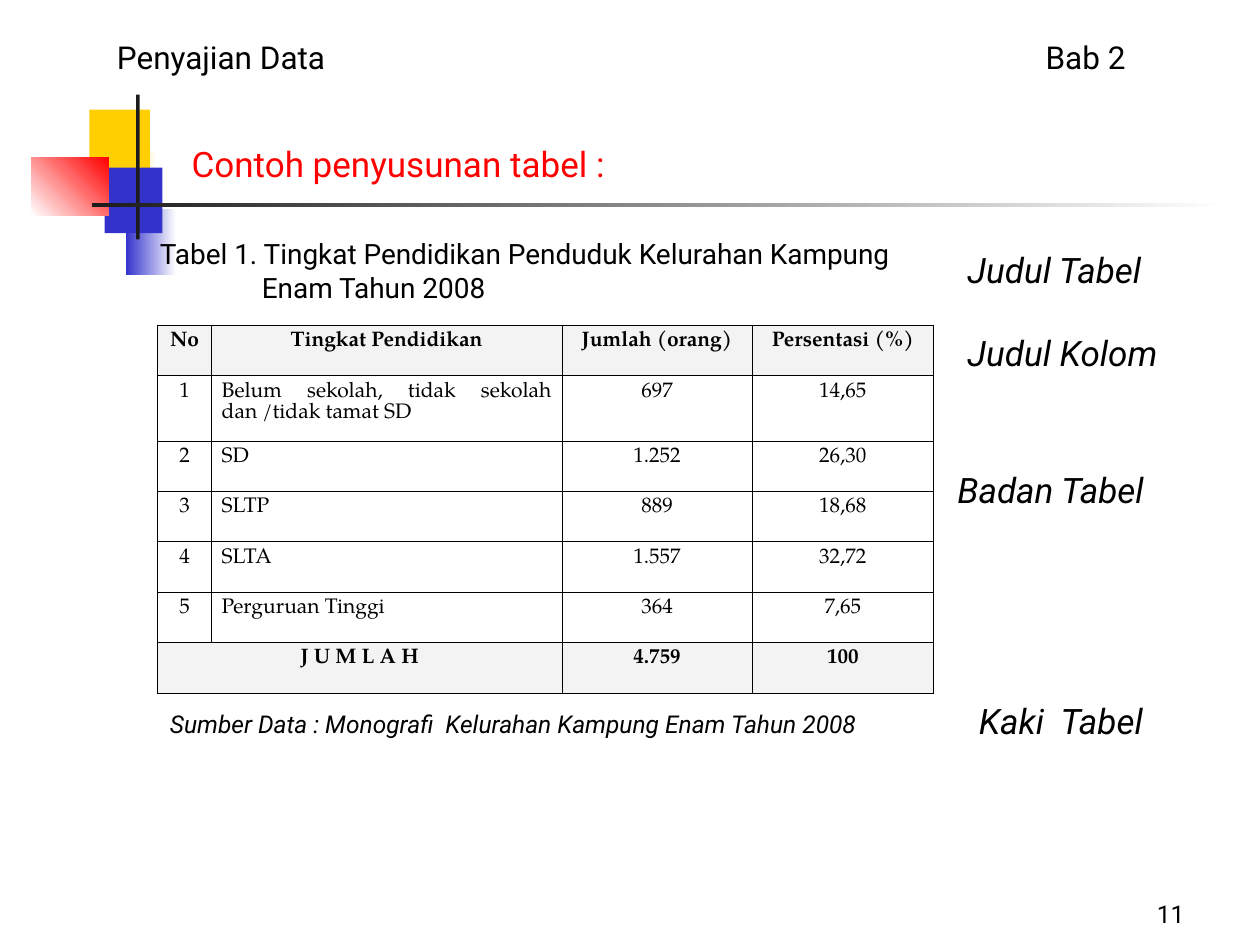
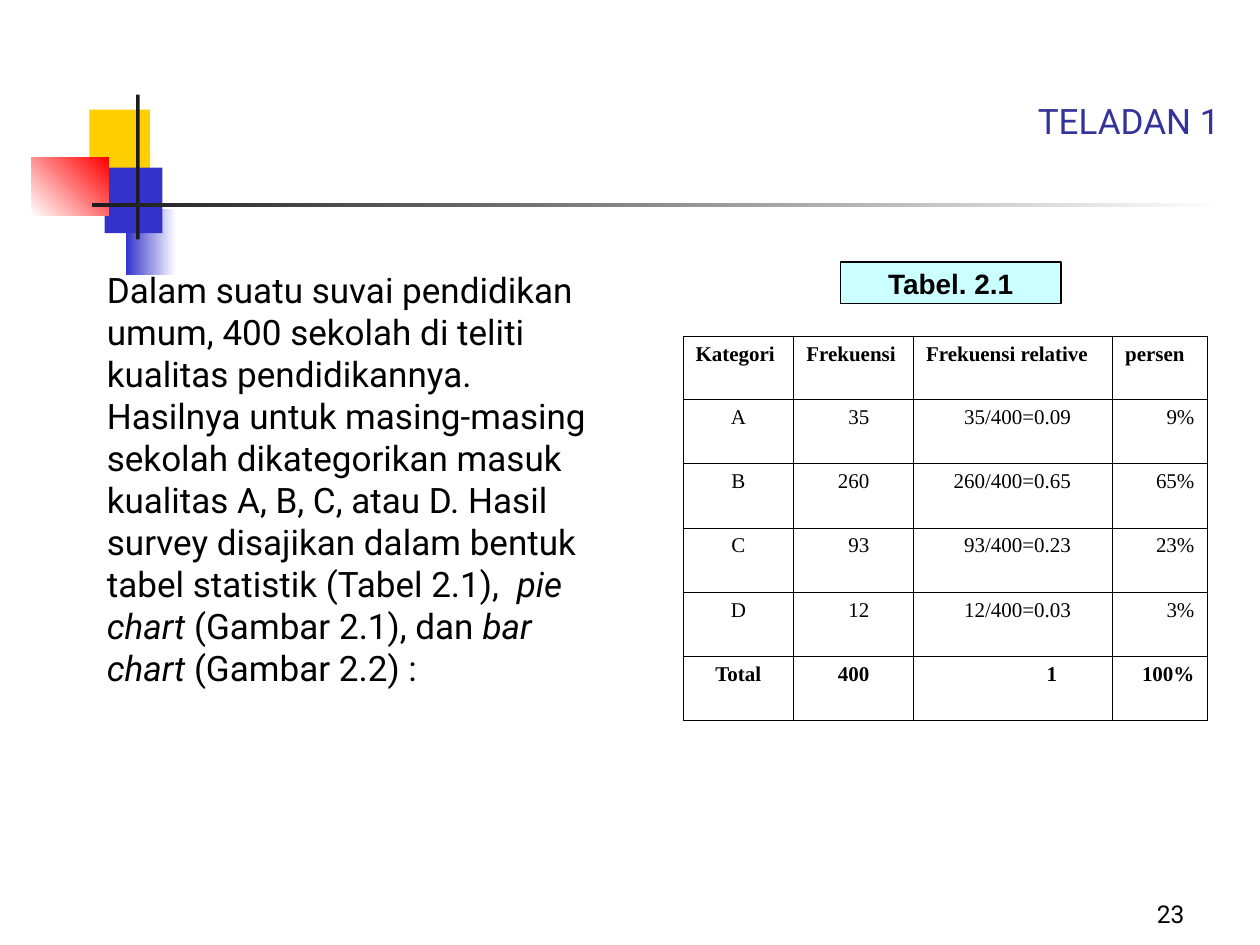
from lxml import etree
from pptx import Presentation
from pptx.dml.color import RGBColor
from pptx.enum.shapes import MSO_SHAPE
from pptx.enum.text import MSO_ANCHOR, MSO_AUTO_SIZE, PP_ALIGN
from pptx.oxml.ns import qn
from pptx.util import Inches, Pt

BLACK = RGBColor(0x00, 0x00, 0x00)
WHITE = RGBColor(0xFF, 0xFF, 0xFF)
RED = RGBColor(0xFF, 0x00, 0x00)
YELLOW = RGBColor(0xFF, 0xCF, 0x01)
BLUE = RGBColor(0x33, 0x33, 0xCC)
INDIGO = RGBColor(0x33, 0x33, 0x99)
CHARCOAL = RGBColor(0x1C, 0x1C, 0x1C)
GREY = RGBColor(0xF3, 0xF3, 0xF3)
AQUA = RGBColor(0xCC, 0xFF, 0xFF)
LEFT, CENTER, RIGHT, JUSTIFY = (PP_ALIGN.LEFT, PP_ALIGN.CENTER,
                                PP_ALIGN.RIGHT, PP_ALIGN.JUSTIFY)


def write(frame, text, size=20, color=BLACK, font="Roboto", bold=False,
          italic=False, align=LEFT, anchor=MSO_ANCHOR.TOP, wrap=True,
          hanging=0, tab=0):
    """Write one paragraph; text is a string or a list of (string, italic)."""
    frame.word_wrap = wrap
    frame.auto_size = MSO_AUTO_SIZE.NONE
    frame.vertical_anchor = anchor
    para = frame.paragraphs[0]
    para.alignment = align
    properties = para._p.get_or_add_pPr()
    if hanging:
        properties.set("marL", str(Inches(hanging)))
        properties.set("indent", str(-Inches(hanging)))
    if tab:
        stops = etree.SubElement(properties, qn("a:tabLst"))
        etree.SubElement(stops, qn("a:tab"), pos=str(Inches(tab)), algn="l")
    for words, slanted in [(text, italic)] if isinstance(text, str) else text:
        span = para.add_run()
        span.text = words
        span.font.name = font
        span.font.size = Pt(size)
        span.font.color.rgb = color
        span.font.bold = bold
        span.font.italic = slanted


def add_grid(page, left, top, widths, heights, rows, font, inset,
             header_align, aligns, right_insets):
    """Add a ruled table whose first and last rows are bold."""
    table = page.shapes.add_table(
        len(rows), len(widths), Inches(left), Inches(top),
        Inches(sum(widths)), Inches(sum(heights))).table
    table.first_row = table.horz_banding = False
    for column, width in zip(table.columns, widths):
        column.width = Inches(width)
    for r, (values, height) in enumerate(zip(rows, heights)):
        table.rows[r].height = Inches(height)
        for c, value in enumerate(values):
            cell = table.cell(r, c)
            cell.margin_left = Inches(inset)
            cell.margin_right = Inches(right_insets[c] if r else inset)
            properties = cell._tc.get_or_add_tcPr()
            for side in ("lnL", "lnR", "lnT", "lnB"):
                line = etree.SubElement(properties, qn(f"a:{side}"), w=str(Pt(0.45)))
                fill = etree.SubElement(line, qn("a:solidFill"))
                etree.SubElement(fill, qn("a:srgbClr"), val=str(BLACK))
            cell.fill.background()
            if value:
                write(cell.text_frame, value, size=12, font=font,
                      bold=r in (0, len(rows) - 1),
                      align=aligns[c] if r else header_align)
    return table


deck = Presentation()
deck.slide_width, deck.slide_height = Inches(10), Inches(7.5)
title_only = deck.slide_layouts[5]

# Titles: text, position, format
titles = [
    ("Contoh penyusunan tabel :", (1.42, 1.08, 4.42, 0.44), dict(color=RED)),
    ("TELADAN 1", (1.26, 0.68, 8.52, 0.49),
     dict(color=INDIGO, align=RIGHT, anchor=MSO_ANCHOR.BOTTOM)),
]
# Shared ornament: position, colours from start to end, angle
ornament = [
    ((0.88, 1.2, 0.36, 0.52), (YELLOW, WHITE), 0),
    ((1, 1.66, 0.4, 0.52), (BLUE, WHITE), 0),
    ((0.71, 0.87, 0.48, 0.52), (YELLOW,), 0),
    ((0.83, 1.33, 0.46, 0.52), (BLUE,), 0),
    ((0.25, 1.25, 0.61, 0.46), (WHITE, RED), 45),
    ((1.08, 0.75, 0.03, 1.15), (CHARCOAL,), 0),
    ((0.73, 1.61, 9, 0.03), (CHARCOAL, WHITE), 0),
]
for text, position, style in titles:
    page = deck.slides.add_slide(title_only)
    title = page.shapes.title
    title.left, title.top, title.width, title.height = map(Inches, position)
    write(title.text_frame, text, **style)
    for place, colors, angle in ornament:
        block = page.shapes.add_shape(MSO_SHAPE.RECTANGLE, *map(Inches, place))
        block.shadow.inherit = False
        block.line.fill.background()
        if len(colors) == 1:
            block.fill.solid()
            block.fill.fore_color.rgb = colors[0]
        else:
            block.fill.gradient()
            block.fill.gradient_angle = angle
            for stop, color in zip(block.fill.gradient_stops, colors):
                stop.color.rgb = color

education_page, survey_page = deck.slides

# Text boxes and page numbers
number_place = (7.42, 6.92, 2.08, 0.5)
number_style = dict(size=14, align=RIGHT, anchor=MSO_ANCHOR.BOTTOM)
part_style = dict(italic=True)
survey_text = [
    ("Dalam suatu suvai pendidikan umum, 400 sekolah di teliti kualitas "
     "pendidikannya. Hasilnya untuk masing-masing sekolah dikategorikan masuk "
     "kualitas A, B, C, atau D. Hasil survey disajikan dalam bentuk tabel "
     "statistik (Tabel 2.1),  ", False),
    ("pie chart", True),
    (" (Gambar 2.1), dan ", False),
    ("bar chart ", True),
    ("(Gambar 2.2) :", False),
]
text_boxes = [
    (education_page, number_place, "11", number_style),
    (education_page, (0.83, 0.25, 8.33, 0.4), "Penyajian Data\tBab 2",
     dict(size=18, tab=7.37)),
    (education_page, (1.17, 1.83, 6.25, 0.64),
     "Tabel 1. Tingkat Pendidikan Penduduk Kelurahan Kampung Enam Tahun 2008",
     dict(size=16, hanging=0.81)),
    (education_page, (7.58, 1.92, 1.92, 0.44), "Judul Tabel", part_style),
    (education_page, (7.58, 2.58, 1.92, 0.44), "Judul Kolom", part_style),
    (education_page, (7.5, 3.67, 2.08, 0.44), "Badan Tabel", part_style),
    (education_page, (7.67, 5.5, 2.08, 0.44), "Kaki  Tabel", part_style),
    (education_page, (1.25, 5.58, 6.58, 0.34),
     "Sumber Data : Monografi  Kelurahan Kampung Enam Tahun 2008",
     dict(size=14, italic=True)),
    (survey_page, number_place, "23", number_style),
    (survey_page, (0.75, 2.08, 4.17, 3.67), survey_text, {}),
]
for page, place, text, style in text_boxes:
    box = page.shapes.add_textbox(*map(Inches, place))
    write(box.text_frame, text, **style)

# Education table with shaded header and total
education_rows = [
    ("No", "Tingkat Pendidikan", "Jumlah (orang)", "Persentasi (%)"),
    ("1", "Belum sekolah, tidak sekolah dan /tidak tamat SD", "697", "14,65"),
    ("2", "SD", "1.252", "26,30"),
    ("3", "SLTP", "889", "18,68"),
    ("4", "SLTA", "1.557", "32,72"),
    ("5", "Perguruan Tinggi", "364", "7,65"),
    ("J U M L A H", "", "4.759", "100"),
]
education = add_grid(
    education_page, 1.25, 2.58, [0.43, 2.78, 1.51, 1.44],
    [0.4, 0.52] + [0.4] * 5, education_rows, "TeX Gyre Pagella", 0.08,
    CENTER, [CENTER, JUSTIFY, CENTER, CENTER], [0.08] * 4)
last = len(education_rows) - 1
for r in (0, last):
    for c in range(4):
        education.cell(r, c).fill.solid()
        education.cell(r, c).fill.fore_color.rgb = GREY
education.cell(last, 0).merge(education.cell(last, 1))

# Frequency table, figures aligned on the right
frequency_rows = [
    ("Kategori", "Frekuensi", "Frekuensi relative", "persen"),
    ("A", "35", "35/400=0.09", "9%"),
    ("B", "260", "260/400=0.65", "65%"),
    ("C", "93", "93/400=0.23", "23%"),
    ("D", "12", "12/400=0.03", "3%"),
    ("Total", "400", "1", "100%"),
]
frequency = add_grid(
    survey_page, 5.42, 2.67, [0.88, 0.95, 1.58, 0.75], [0.5] + [0.51] * 5,
    frequency_rows, "Times New Roman", 0.1,
    JUSTIFY, [CENTER, RIGHT, RIGHT, RIGHT], [0.1, 0.35, 0.33, 0.1])
frequency.cell(5, 2).margin_right = Inches(0.44)

# Table label
label = survey_page.shapes.add_shape(
    MSO_SHAPE.RECTANGLE, Inches(6.67), Inches(2.08), Inches(1.75), Inches(0.33))
label.shadow.inherit = False
label.fill.solid()
label.fill.fore_color.rgb = AQUA
label.line.color.rgb = BLACK
label.line.width = Pt(0.75)
write(label.text_frame, "Tabel. 2.1", size=16, font="Arial", bold=True,
      align=CENTER, anchor=MSO_ANCHOR.MIDDLE, wrap=False)

deck.save("out.pptx")
